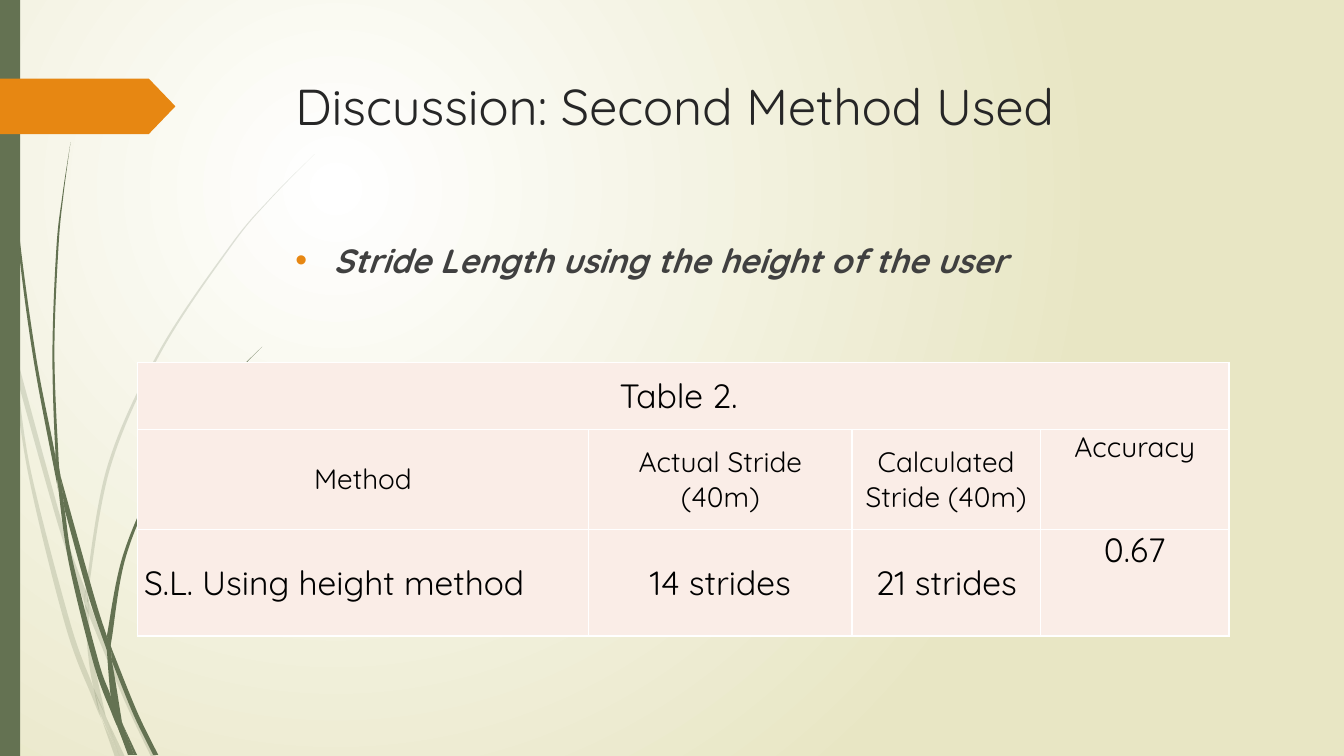
from dataclasses import dataclass

from lxml.etree import SubElement
from pptx import Presentation
from pptx.dml.color import RGBColor
from pptx.enum.shapes import MSO_SHAPE
from pptx.enum.text import MSO_ANCHOR, PP_ALIGN
from pptx.oxml.ns import qn
from pptx.util import Inches, Pt


@dataclass(frozen=True)
class Theme:
    """Colours, font and type sizes of the slide."""
    font: str = "Quicksand"
    green: str = "647252"
    orange: str = "E78712"
    sand: str = "E8E6C4"
    white: str = "FFFFFF"
    cell: str = "FAEDE7"
    black: str = "000000"
    heading: str = "262626"
    body: str = "404040"
    title_size: int = 36
    large: int = 24
    medium: int = 20


THEME = Theme()
UNITS_PER_INCH = 1000

PALE_BLADES = [
    ([(0, 2.82), (0.09, 3.22), (0.11, 3.5)], [(0, 2.99), (0.1, 3.44), (0.11, 3.5)]),
    ([(0.14, 3.45), (0.62, 5.2), (0.85, 5.86)], [(0.17, 3.76), (0.58, 5.22), (0.84, 5.99)]),
    ([(0.88, 5.96), (0.92, 6.07), (1.27, 6.92), (1.55, 7.51)], [(0.88, 6.1), (1.23, 6.94), (1.5, 7.51)]),
    ([(1.05, 7.11), (1.24, 7.51)], [(1.05, 7.11), (1.19, 7.51)]),
    ([(0.11, 3.5), (0.17, 3.76), (0.31, 4.69), (0.7, 6.19), (0.93, 6.83), (0.99, 7.07), (1.01, 7.14)],
     [(0.11, 3.5), (0.28, 4.7), (0.65, 6.21), (0.92, 6.93), (1.01, 7.14)]),
    ([(0.84, 5.99), (0.88, 6.1), (0.91, 6.46), (1.05, 7.11)],
     [(0.84, 5.99), (0.87, 6.46), (0.93, 6.83), (1.05, 7.11)]),
    ([(3.12, 1.53), (2.68, 1.98), (2.29, 2.45), (1.6, 3.49), (1.1, 4.62), (0.88, 5.84), (0.88, 5.96)],
     [(3.12, 1.53), (2.68, 1.97), (2.28, 2.44), (1.58, 3.48), (1.07, 4.61), (0.85, 5.84), (0.85, 5.86)]),
    ([(1.01, 7.14), (1.19, 7.51)], [(1.01, 7.14), (1.14, 7.51)]),
    ([(0.85, 5.86), (0.88, 5.96), (0.88, 6.1)], [(0.85, 5.86), (0.84, 5.99), (0.88, 6.1)]),
    ([(0.93, 6.83), (1.05, 7.11), (1.19, 7.51)], [(0.93, 6.83), (0.99, 7.07), (1.19, 7.51)]),
]
DARK_BLADES = [
    ([(0.04, 0), (0.05, 0.48), (0.08, 1.09), (0.19, 2.32), (0.36, 3.55), (0.55, 4.53), (0.57, 4.81)],
     [(0.03, 0), (0.04, 0.48), (0.07, 1.1), (0.17, 2.33), (0.33, 3.55), (0.56, 4.77), (0.57, 4.81)]),
    ([(0.6, 4.72), (0.93, 5.9), (1.06, 6.31)], [(0.64, 5.05), (0.88, 5.92), (1.06, 6.45)]),
    ([(1.1, 6.41), (1.13, 6.49), (1.36, 7.06), (1.57, 7.49)], [(1.11, 6.56), (1.32, 7.08), (1.52, 7.49)]),
    ([(0.57, 4.77), (0.64, 5.05), (0.72, 5.56), (0.98, 6.57), (1.1, 6.91), (1.17, 7.22)],
     [(0.57, 4.77), (0.68, 5.57), (0.93, 6.59), (1.11, 7.08), (1.17, 7.22)]),
    ([(0.7, 1.41), (0.63, 1.93), (0.58, 2.45), (0.54, 3.49), (0.58, 4.53), (0.6, 4.72)],
     [(0.7, 1.41), (0.62, 1.93), (0.56, 2.45), (0.52, 3.49), (0.55, 4.49), (0.6, 4.72)]),
    ([(1.22, 7.19), (1.36, 7.49)], [(1.22, 7.19), (1.33, 7.49)]),
    ([(0.55, 4.49), (0.6, 4.72), (0.64, 5.05)], [(0.55, 4.53), (0.57, 4.77), (0.64, 5.05)]),
    ([(2.6, 3.44), (2.31, 3.74), (2.05, 4.06), (1.58, 4.76), (1.25, 5.52), (1.11, 6.33), (1.1, 6.41)],
     [(2.6, 3.44), (2.31, 3.73), (2.04, 4.05), (1.56, 4.74), (1.22, 5.51), (1.06, 6.31)]),
    ([(1.17, 7.22), (1.31, 7.49)], [(1.17, 7.22), (1.27, 7.49)]),
    ([(1.06, 6.45), (1.11, 6.56), (1.21, 7.16), (1.22, 7.19)],
     [(1.06, 6.45), (1.1, 6.91), (1.16, 7.06), (1.22, 7.19)]),
    ([(1.06, 6.31), (1.1, 6.41), (1.11, 6.56)], [(1.06, 6.31), (1.06, 6.45), (1.11, 6.56)]),
    ([(1.1, 6.91), (1.22, 7.19), (1.33, 7.49)], [(1.1, 6.91), (1.17, 7.22), (1.3, 7.49)]),
]

COLUMN_WIDTHS = [4.48, 2.61, 1.87, 1.87]
ROW_HEIGHTS = [0.66, 0.99, 1.06]
TABLE_ROWS = [
    ["Table 2. ", "", "", ""],
    ["Method", "Actual Stride (40m)", "Calculated Stride (40m)", "Accuracy"],
    ["S.L. Using height method", "14 strides", "21 strides", "0.67"],
]


def write(frame, text, size, color, bold=False, italic=False, align=PP_ALIGN.LEFT):
    """Put one formatted run into a text frame and return its paragraph."""
    para = frame.paragraphs[0]
    para.alignment = align
    span = para.add_run()
    span.text = text
    span.font.name = THEME.font
    span.font.size = Pt(size)
    span.font.bold = bold
    span.font.italic = italic
    span.font.color.rgb = RGBColor.from_string(color)
    return para


def paint(shape, color, opacity=100):
    """Fill a shape with one colour, without line or shadow."""
    shape.shadow.inherit = False
    shape.line.fill.background()
    shape.fill.solid()
    shape.fill.fore_color.rgb = RGBColor.from_string(color)
    if opacity < 100:
        tone = shape.fill._xPr.find(".//" + qn("a:srgbClr"))
        SubElement(tone, qn("a:alpha"), val=str(opacity * 1000))


def bend(shape, outline, turn):
    """Turn the straight segments of each edge into smooth curves."""
    left, top = (min(values) for values in zip(*outline))
    segments = list(shape._element.iter(qn("a:lnTo")))
    for index, segment in enumerate(segments, 1):
        if index == turn:
            continue
        first, last = (0, turn - 1) if index < turn else (turn, len(outline) - 1)
        a, b, c, d = (outline[min(max(index + step, first), last)] for step in (-2, -1, 0, 1))
        controls = ([q + (r - p) / 6 for p, q, r in zip(a, b, c)],
                    [r - (s - q) / 6 for q, r, s in zip(b, c, d)], c)
        segment.tag = qn("a:cubicBezTo")
        segment.remove(segment[0])
        for x, y in controls:
            SubElement(segment, qn("a:pt"), x=str(round(x - left)), y=str(round(y - top)))


def add_blade(page, edges, opacity):
    """Draw a piece of grass between its two edges."""
    right, left = edges
    outline = [(round(x * UNITS_PER_INCH), round(y * UNITS_PER_INCH)) for x, y in right + left[::-1]]
    builder = page.shapes.build_freeform(*outline[0], scale=Inches(1) / UNITS_PER_INCH)
    builder.add_line_segments(outline[1:], close=False)
    blade = builder.convert_to_shape()
    bend(blade, outline, len(right))
    paint(blade, THEME.green, opacity)


def add_backdrop(page):
    """Draw the radial background, grass, side bar and arrow tab."""
    fill = page.background.fill
    fill.gradient()
    for stop, color in zip(fill.gradient_stops, (THEME.white, THEME.sand)):
        stop.color.rgb = RGBColor.from_string(color)
    gradient = page.background._cSld.find(".//" + qn("a:gradFill"))
    gradient.remove(gradient.find(qn("a:lin")))
    radial = SubElement(gradient, qn("a:path"), path="circle")
    SubElement(radial, qn("a:fillToRect"), l="50000", t="50000", r="100000", b="100000")
    for blades, opacity in ((PALE_BLADES, 20), (DARK_BLADES, 100)):
        for edges in blades:
            add_blade(page, edges, opacity)
    bar = page.shapes.add_shape(MSO_SHAPE.RECTANGLE, 0, 0, Inches(0.2), Inches(7.5))
    paint(bar, THEME.green)
    tab = page.shapes.add_shape(MSO_SHAPE.PENTAGON, 0, Inches(0.78), Inches(1.74), Inches(0.55))
    tab.adjustments[0] = 0.48
    paint(tab, THEME.orange)


def add_title(page, left, top, width, height):
    """Place and format the title placeholder."""
    title = page.shapes.title
    title.left, title.top = Inches(left), Inches(top)
    title.width, title.height = Inches(width), Inches(height)
    title.text_frame.vertical_anchor = MSO_ANCHOR.TOP
    write(title.text_frame, "Discussion: Second Method Used", THEME.title_size, THEME.heading)


def add_body(page, left, top, width, height):
    """Add the bulleted statement."""
    box = page.shapes.add_textbox(Inches(left), Inches(top), Inches(width), Inches(height))
    box.text_frame.word_wrap = True
    para = write(box.text_frame, "Stride Length using the height of the user",
                 THEME.large, THEME.body, bold=True, italic=True)
    para.space_before = Pt(10)
    settings = para._p.get_or_add_pPr()
    settings.set("marL", str(Inches(0.38)))
    settings.set("indent", str(-Inches(0.38)))
    tint = SubElement(settings, qn("a:buClr"))
    SubElement(tint, qn("a:srgbClr"), val=THEME.orange)
    SubElement(settings, qn("a:buFont"), typeface="Arial")
    SubElement(settings, qn("a:buChar"), char="•")


def format_cell(cell):
    """Set the margins, white borders and fill of a table cell."""
    cell.margin_left = cell.margin_right = Inches(0.07)
    cell.margin_top = cell.margin_bottom = 0
    settings = cell._tc.get_or_add_tcPr()
    for side in ("lnL", "lnR", "lnT", "lnB"):
        edge = SubElement(settings, qn("a:" + side), w=str(Pt(1)))
        SubElement(SubElement(edge, qn("a:solidFill")), qn("a:srgbClr"), val=THEME.white)
    cell.fill.solid()
    cell.fill.fore_color.rgb = RGBColor.from_string(THEME.cell)


def add_stride_table(page, left, top, width, height):
    """Add the table that compares actual and calculated strides."""
    table = page.shapes.add_table(len(ROW_HEIGHTS), len(COLUMN_WIDTHS), Inches(left),
                                  Inches(top), Inches(width), Inches(height)).table
    table.first_row = table.horz_banding = False
    for column, size in zip(table.columns, COLUMN_WIDTHS):
        column.width = Inches(size)
    for row, size in zip(table.rows, ROW_HEIGHTS):
        row.height = Inches(size)
    table.cell(0, 0).merge(table.cell(0, 3))
    for r, texts in enumerate(TABLE_ROWS):
        for c, text in enumerate(texts):
            cell = table.cell(r, c)
            format_cell(cell)
            cell.vertical_anchor = MSO_ANCHOR.TOP if c == 3 else MSO_ANCHOR.MIDDLE
            if text:
                write(cell.text_frame, text, THEME.medium if r == 1 else THEME.large, THEME.black,
                      align=PP_ALIGN.JUSTIFY if (r, c) == (2, 0) else PP_ALIGN.CENTER)


def main():
    """Build the slide and save the deck."""
    deck = Presentation()
    deck.slide_width, deck.slide_height = Inches(13.33), Inches(7.5)
    page = deck.slides.add_slide(deck.slide_layouts[5])
    add_backdrop(page)
    add_title(page, 2.83, 0.69, 9.75, 1.4)
    add_body(page, 2.83, 2.33, 9.75, 4.13)
    add_stride_table(page, 1.36, 3.6, sum(COLUMN_WIDTHS), sum(ROW_HEIGHTS))
    deck.save("out.pptx")


if __name__ == "__main__":
    main()
